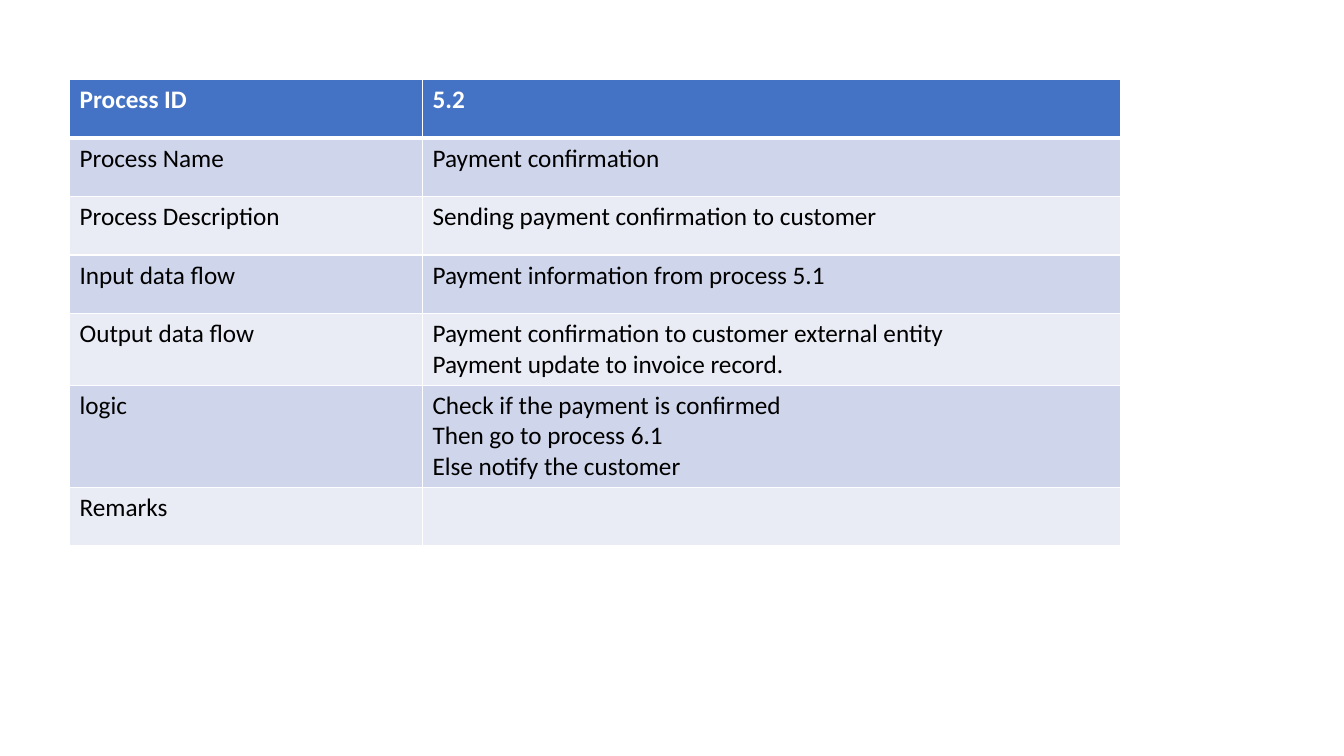
import pptx
import pptx.util
import pptx.dml.color
import pptx.oxml
import pptx.oxml.ns

ROWS = [
    ("Process ID", "5.2"),
    ("Process Name", "Payment confirmation "),
    ("Process Description ", "Sending payment confirmation to customer "),
    ("Input data flow", "Payment information from process 5.1"),
    ("Output data flow ", "Payment confirmation to customer external entity \n"
                          "Payment update to invoice record."),
    ("logic", "Check if the payment is confirmed\n"
              "Then go to process 6.1 \n"
              "Else notify the customer "),
    ("Remarks ", ""),
]
COLORS = {"header": "4472C4", "odd": "CFD5EA", "even": "E9EBF5",
          "border": "FFFFFF", "header_text": "FFFFFF", "text": "000000"}
FONT, SIZE = "Calibri", 18
LEFT, TOP = 0.69, 0.79
COL_WIDTHS = (3.5, 6.92)
ROW_HEIGHT, LOGIC_HEIGHT = 0.58, 0.84
THIN, THICK = 1, 3


def rgb(name):
    """Return the named colour."""
    return pptx.dml.color.RGBColor.from_string(COLORS[name])


def add_borders(cell, row):
    """Draw thin cell borders, with a thick line under the header row."""
    widths = {"L": THIN, "R": THIN, "T": THICK if row == 1 else THIN,
              "B": THICK if row == 0 else THIN}
    tc_pr = cell._tc.get_or_add_tcPr()
    for side, width in widths.items():
        tc_pr.append(pptx.oxml.parse_xml(
            f'<a:ln{side} {pptx.oxml.ns.nsdecls("a")} w="{pptx.util.Pt(width)}">'
            f'<a:solidFill><a:srgbClr val="{COLORS["border"]}"/></a:solidFill>'
            f'</a:ln{side}>'))


def fill_cell(cell, text, row):
    """Write and style one cell according to its row."""
    add_borders(cell, row)
    cell.fill.solid()
    cell.fill.fore_color.rgb = rgb("header" if row == 0 else "odd" if row % 2 else "even")
    cell.text_frame.text = text
    for p in cell.text_frame.paragraphs:
        for r in p.runs:
            r.font.name, r.font.size = FONT, pptx.util.Pt(SIZE)
            r.font.bold = row == 0
            r.font.color.rgb = rgb("header_text" if row == 0 else "text")


prs = pptx.Presentation()
prs.slide_width, prs.slide_height = pptx.util.Inches(13.33), pptx.util.Inches(7.5)
s = prs.slides.add_slide(prs.slide_layouts[6])

heights = [LOGIC_HEIGHT if label == "logic" else ROW_HEIGHT for label, _ in ROWS]
box = (LEFT, TOP, sum(COL_WIDTHS), sum(heights))
table = s.shapes.add_table(len(ROWS), len(COL_WIDTHS), *map(pptx.util.Inches, box)).table
for column, width in zip(table.columns, COL_WIDTHS):
    column.width = pptx.util.Inches(width)
for i, (texts, height) in enumerate(zip(ROWS, heights)):
    table.rows[i].height = pptx.util.Inches(height)
    for j, text in enumerate(texts):
        fill_cell(table.cell(i, j), text, i)

prs.save("out.pptx")
